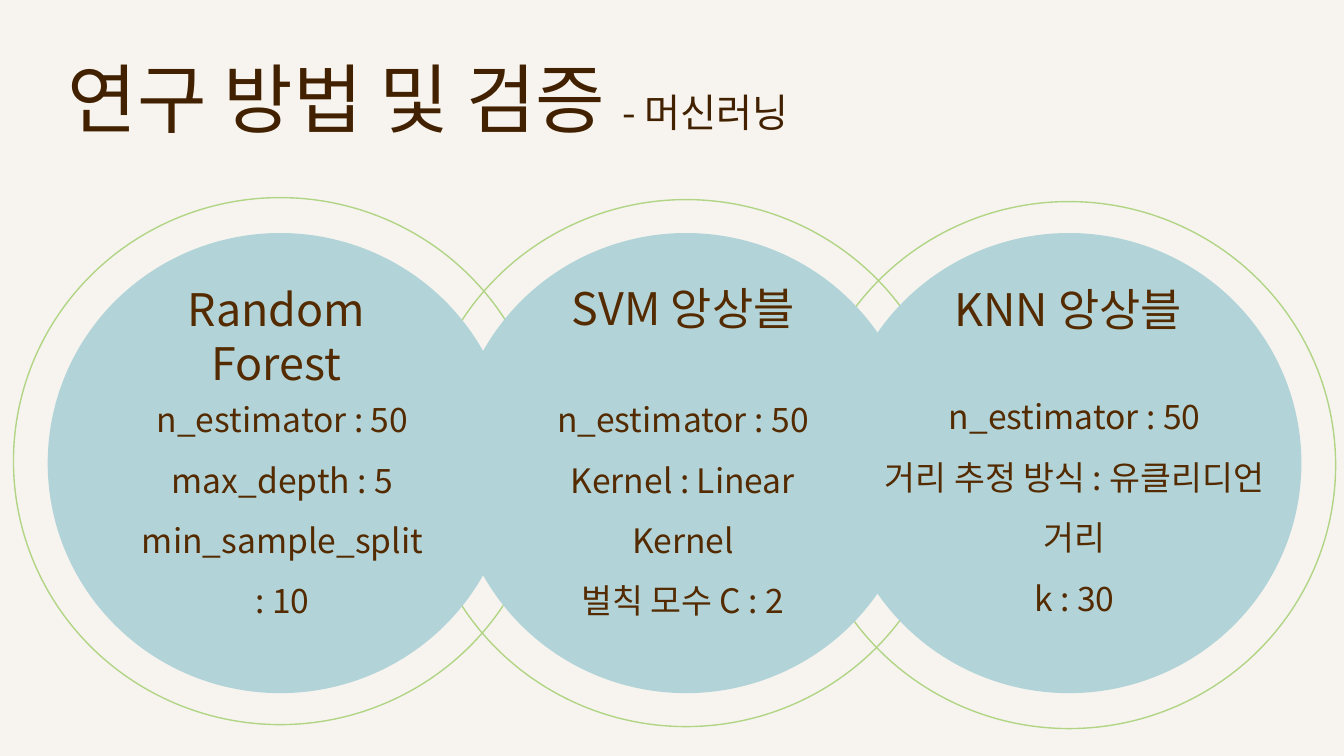
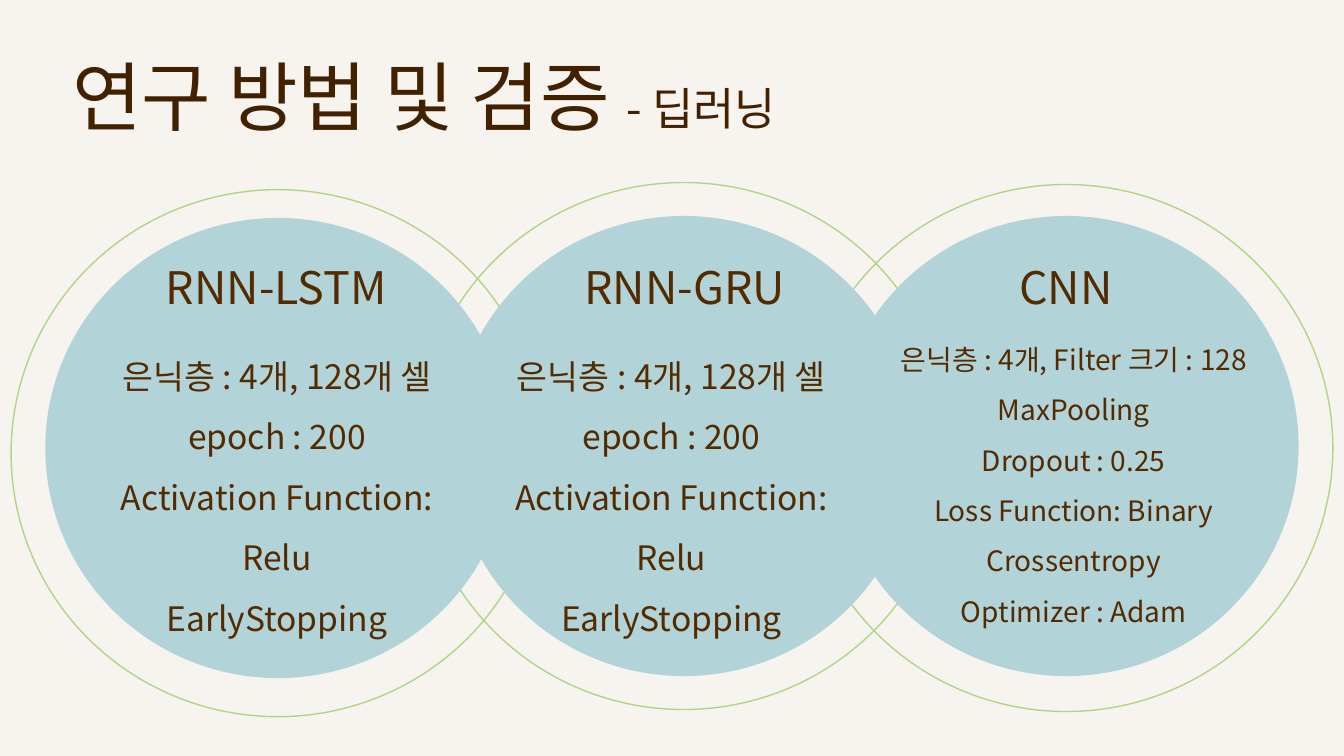
from dataclasses import dataclass

from lxml.etree import SubElement
from pptx import Presentation
from pptx.dml.color import RGBColor
from pptx.enum.shapes import MSO_SHAPE as SHAPE
from pptx.enum.text import MSO_ANCHOR as ANCHOR
from pptx.enum.text import MSO_AUTO_SIZE as AUTO
from pptx.enum.text import PP_ALIGN as ALIGN
from pptx.oxml.ns import qn
from pptx.util import Cm, Pt

FONT = "Noto Sans CJK KR"
PAPER, RING, DISC = "F7F4EF", "B1D585", "B2D4D8"
TITLE_INK, BODY_INK = "422100", "542A00"
RING_SIZE = (13.44, 13.28)
DISC_SIZE = (11.68, 11.56)


@dataclass
class Box:
    """Text area given by its centre line, top and width in cm."""
    cx: float
    top: float
    width: float


@dataclass
class Topic:
    """One model: its circles, heading and settings."""
    cx: float
    ring_cy: float
    disc_cy: float
    heading: str
    heading_box: Box
    details: list
    details_box: Box
    size: int = 24


ML_TOPICS = [
    Topic(7.06, 11.62, 11.67, "Random Forest", Box(6.97, 6.98, 7.04),
          ["n_estimator : 50", "max_depth : 5", "min_sample_split : 10"],
          Box(7.12, 9.42, 7.95)),
    Topic(17.29, 11.67, 11.67, "SVM 앙상블", Box(17.22, 6.96, 6.3),
          ["n_estimator : 50", "Kernel : Linear Kernel", "벌칙 모수 C : 2"],
          Box(17.21, 9.42, 7.95)),
    Topic(26.94, 11.72, 11.67, "KNN 앙상블", Box(26.92, 6.98, 6.3),
          ["n_estimator : 50", "거리 추정 방식 : 유클리디언 거리", "k : 30"],
          Box(27.08, 9.35, 10.26)),
]

RNN_DETAILS = ["은닉층 : 4개, 128개 셀", "epoch : 200",
               "Activation Function: Relu", "EarlyStopping"]
CNN_DETAILS = ["은닉층 : 4개, Filter 크기 : 128", "MaxPooling", "Dropout : 0.25",
               "Loss Function: Binary Crossentropy", "Optimizer : Adam"]
DL_TOPICS = [
    Topic(7, 11.42, 11.29, "RNN-LSTM", Box(6.97, 6.43, 7.04),
          RNN_DETAILS, Box(6.98, 8.33, 9.35)),
    Topic(17.23, 11.24, 11.24, "RNN-GRU", Box(17.26, 6.43, 7.04),
          RNN_DETAILS, Box(16.92, 8.33, 9.35)),
    Topic(26.87, 11.29, 11.24, "CNN", Box(26.86, 6.43, 7.04),
          CNN_DETAILS, Box(27.06, 8.08, 10.34), size=20),
]


def color(hex_text):
    """Turn a hex string into a colour."""
    return RGBColor.from_string(hex_text)


def add_run(p, text, size, ink):
    """Add a run in the deck font for Latin and Korean text."""
    r = p.add_run()
    r.text = text
    r.font.size = Pt(size)
    r.font.color.rgb = color(ink)
    r.font.name = FONT
    SubElement(r._r.get_or_add_rPr(), qn("a:ea")).set("typeface", FONT)


def add_title(slide, left, top, subtitle, subtitle_size):
    """Place the title with its smaller subtitle."""
    sp = slide.shapes.title
    sp.left, sp.top, sp.width, sp.height = Cm(left), Cm(top), Cm(19.46), Cm(2.57)
    tf = sp.text_frame
    tf.word_wrap = True
    tf.auto_size = AUTO.NONE
    tf.vertical_anchor = ANCHOR.TOP
    p = tf.paragraphs[0]
    p.alignment = ALIGN.LEFT
    add_run(p, "연구 방법 및 검증 ", 54, TITLE_INK)
    add_run(p, f"- {subtitle}", subtitle_size, TITLE_INK)


def add_circle(shapes, cx, cy, size, line, fill=None):
    """Add an ellipse around a centre point."""
    width, height = size
    sp = shapes.add_shape(SHAPE.OVAL, Cm(cx - width / 2), Cm(cy - height / 2),
                          Cm(width), Cm(height))
    sp.shadow.inherit = False
    sp.line.color.rgb = color(line)
    sp.line.width = Pt(1)
    if fill:
        sp.fill.solid()
        sp.fill.fore_color.rgb = color(fill)
    else:
        sp.fill.background()


def add_text(slide, box, height, lines, size, spacing=1.0):
    """Add a centred text box with one paragraph per line."""
    sp = slide.shapes.add_textbox(Cm(box.cx - box.width / 2), Cm(box.top),
                                  Cm(box.width), Cm(height))
    tf = sp.text_frame
    tf.word_wrap = True
    for i, line in enumerate(lines):
        p = tf.add_paragraph() if i else tf.paragraphs[0]
        p.alignment = ALIGN.CENTER
        p.line_spacing = spacing
        add_run(p, line, size, BODY_INK)


def add_topics(slide, topics):
    """Draw all rings, then all discs, then the texts."""
    circles = slide.shapes.add_group_shape().shapes
    for t in topics:
        add_circle(circles, t.cx, t.ring_cy, RING_SIZE, RING)
    for t in topics:
        add_circle(circles, t.cx, t.disc_cy, DISC_SIZE, DISC, DISC)
    for t in topics:
        add_text(slide, t.heading_box, 1.62, [t.heading], 32)
        add_text(slide, t.details_box, 6.15, t.details, t.size, 1.5)


def main():
    """Build and save the deck."""
    prs = Presentation()
    prs.slide_width, prs.slide_height = Cm(33.87), Cm(19.05)
    background = prs.slide_master.background.fill
    background.solid()
    background.fore_color.rgb = color(PAPER)
    for left, top, subtitle, size, topics in [
        (1.45, 1.17, "머신러닝", 28, ML_TOPICS),
        (1.57, 1.14, "딥러닝", 32, DL_TOPICS),
    ]:
        slide = prs.slides.add_slide(prs.slide_layouts[5])
        add_title(slide, left, top, subtitle, size)
        add_topics(slide, topics)
    prs.save("out.pptx")


if __name__ == "__main__":
    main()
